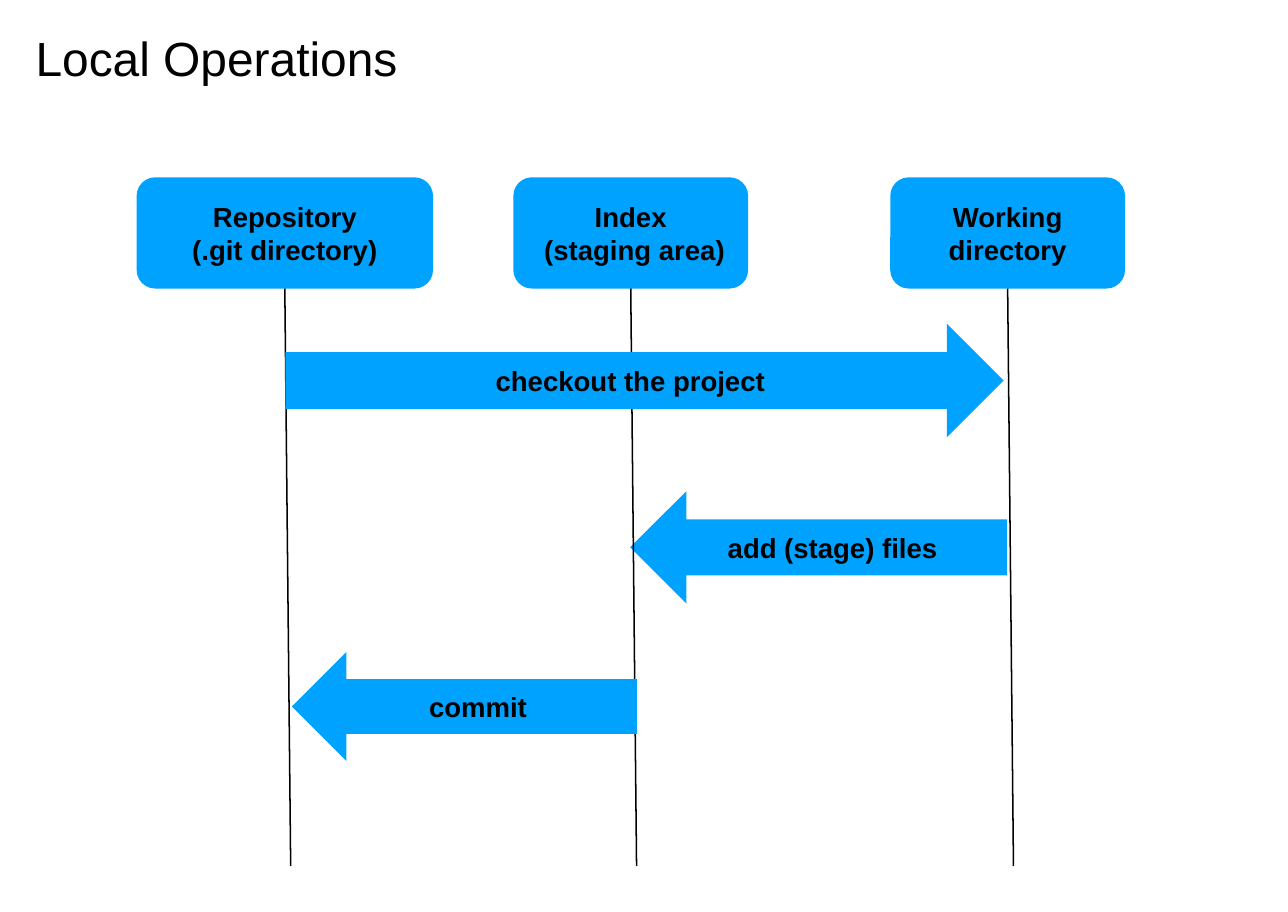
from dataclasses import dataclass

import pptx
import pptx.dml.color
import pptx.enum.shapes
import pptx.enum.text
import pptx.util
from lxml import etree

Pt = pptx.util.Pt
SHAPE = pptx.enum.shapes.MSO_SHAPE
ALIGN = pptx.enum.text.PP_ALIGN
COLORS = {"block": "00A2FF", "ink": "000000"}
FONT = "Arial"

BOX_TOP, BOX_HEIGHT = 115.9, 72.7
LINE_BOTTOM, LINE_LEAN = 566, 3.8


@dataclass
class Lane:
    label: str
    left: float
    width: float


@dataclass
class Arrow:
    label: str
    kind: SHAPE
    left: float
    top: float
    width: float
    height: float


LANES = [
    Lane("Repository\v(.git directory)", 89.3, 193.7),
    Lane("Index\v (staging area)", 335.5, 153.4),
    Lane("Working directory", 581.8, 153.4),
]
ADD = Arrow("add (stage) files", SHAPE.LEFT_ARROW, 411.8, 321.1, 246.2, 73.4)
CHECKOUT = Arrow("checkout the project", SHAPE.RIGHT_ARROW, 186.5, 211.7, 469.4, 74.2)
COMMIT = Arrow("commit", SHAPE.LEFT_ARROW, 190.8, 426.2, 225.4, 71.3)


def rgb(name: str) -> pptx.dml.color.RGBColor:
    return pptx.dml.color.RGBColor.from_string(COLORS[name])


def write(s, text: str, size: float, bold: bool, align: ALIGN) -> None:
    tf = s.text_frame
    tf.text = text
    tf.word_wrap = True
    tf.vertical_anchor = pptx.enum.text.MSO_ANCHOR.MIDDLE
    tf.margin_left = tf.margin_right = tf.margin_top = tf.margin_bottom = Pt(3)
    p = tf.paragraphs[0]
    p.alignment = align
    for r in p.runs:
        r.font.name = FONT
        r.font.size = Pt(size)
        r.font.bold = bold
        r.font.color.rgb = rgb("ink")


def add_block(slide, kind: SHAPE, label: str, left: float, top: float,
              width: float, height: float):
    s = slide.shapes.add_shape(kind, Pt(left), Pt(top), Pt(width), Pt(height))
    s.shadow.inherit = False
    s.fill.solid()
    s.fill.fore_color.rgb = rgb("block")
    s.line.fill.background()
    write(s, label, 18, True, ALIGN.CENTER)
    return s


def add_arrow(slide, arrow: Arrow) -> None:
    add_block(slide, arrow.kind, arrow.label, arrow.left, arrow.top,
              arrow.width, arrow.height)


def add_lifeline(slide, lane: Lane, box) -> None:
    x = lane.left + lane.width / 2
    line = slide.shapes.add_connector(
        pptx.enum.shapes.MSO_CONNECTOR.STRAIGHT,
        Pt(x), Pt(BOX_TOP + BOX_HEIGHT), Pt(x + LINE_LEAN), Pt(LINE_BOTTOM))
    line.begin_connect(box, 2)
    line.line.color.rgb = rgb("ink")
    line.line.width = Pt(1)
    etree.SubElement(line._element.spPr, pptx.oxml.ns.qn("a:effectLst"))


def main() -> None:
    prs = pptx.Presentation()
    prs.slide_width, prs.slide_height = Pt(841.68), Pt(596.16)
    slide = prs.slides.add_slide(prs.slide_layouts[6])

    # Title
    title = slide.shapes.add_textbox(Pt(20.2), Pt(15.8), Pt(812.2), Pt(43.9))
    write(title, "Local Operations", 31.3, False, ALIGN.LEFT)

    # Staging arrow lies behind the lifelines
    add_arrow(slide, ADD)

    # Boxes with their lifelines
    for lane in LANES:
        box = add_block(slide, SHAPE.ROUNDED_RECTANGLE, lane.label,
                        lane.left, BOX_TOP, lane.width, BOX_HEIGHT)
        add_lifeline(slide, lane, box)

    # Arrows in front of the lifelines
    for arrow in (CHECKOUT, COMMIT):
        add_arrow(slide, arrow)

    prs.save("out.pptx")


if __name__ == "__main__":
    main()
